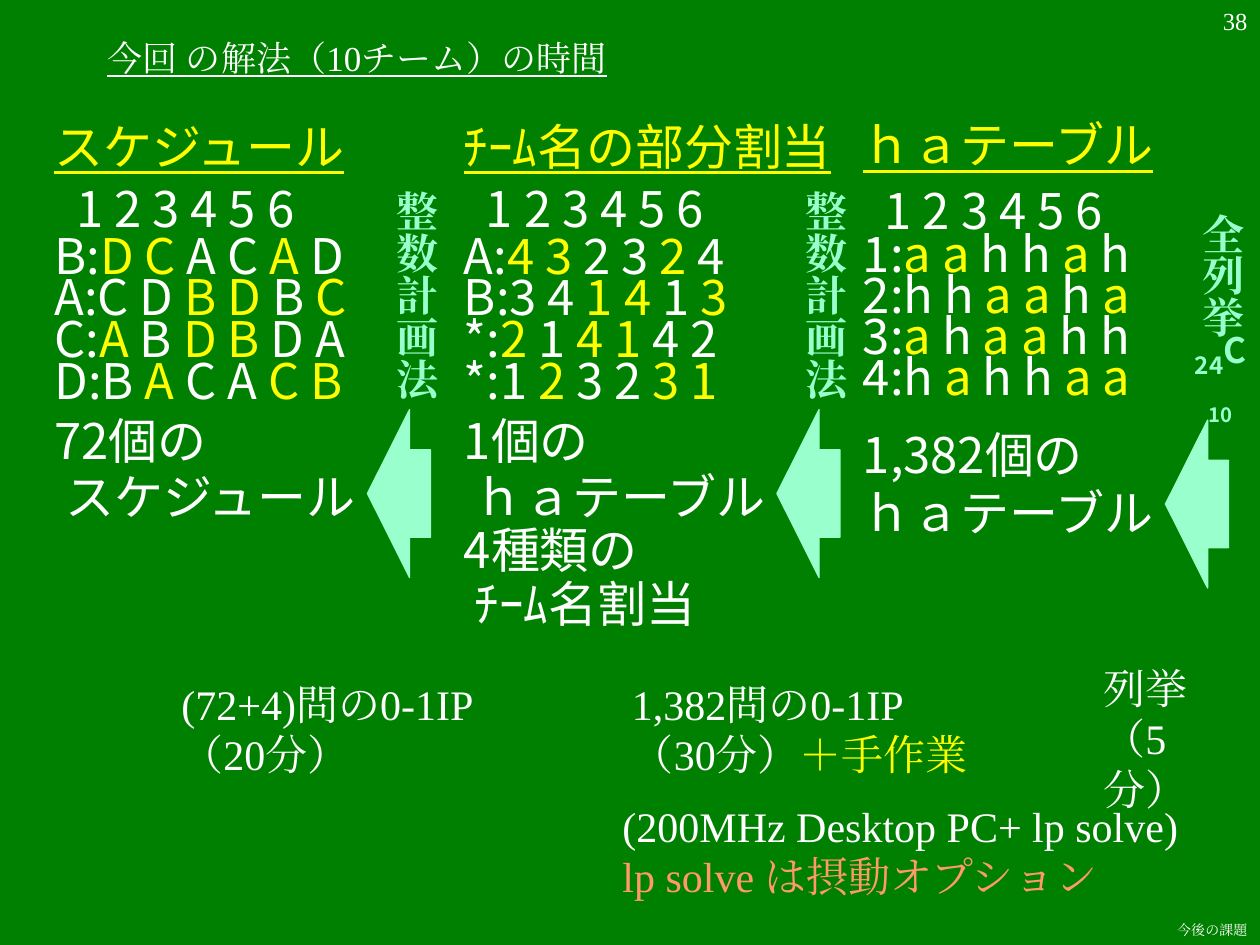
from dataclasses import dataclass
from typing import Optional

from lxml.etree import SubElement
from pptx import Presentation
from pptx.dml.color import RGBColor
from pptx.enum.shapes import MSO_SHAPE
from pptx.enum.text import MSO_ANCHOR, MSO_AUTO_SIZE, PP_ALIGN
from pptx.oxml.ns import qn
from pptx.util import Inches, Pt

GREEN = RGBColor(0x00, 0x80, 0x00)
WHITE = RGBColor(0xFF, 0xFF, 0xFF)
YELLOW = RGBColor(0xFF, 0xFF, 0x00)
MINT = RGBColor(0x99, 0xFF, 0xCC)
ORANGE = RGBColor(0xFF, 0x99, 0x66)
SERIF, SANS = "Times New Roman", "Noto Sans CJK JP"

# Grid of 120 columns by 90 rows over the slide
UNIT = Inches(10) / 120
Box = tuple[float, float, float, float]


@dataclass
class Line:
    """A paragraph; the text between a pair of bars is yellow."""
    text: str
    color: RGBColor = WHITE
    spacing: Optional[float] = None
    underline: bool = False


@dataclass
class Style:
    size: float = 24
    font: str = SERIF
    bold: bool = False
    align: Optional[PP_ALIGN] = None
    anchor: MSO_ANCHOR = MSO_ANCHOR.MIDDLE
    wrap: bool = False
    vertical: bool = False
    before: float = 0


def grid(box: Box) -> list[int]:
    return [round(v * UNIT) for v in box]


def add_run(p, text: str, color: RGBColor, font: str):
    r = p.add_run()
    r.text = text
    r.font.color.rgb = color
    SubElement(r.font._element, qn("a:ea")).set("typeface", font)
    return r


def fill_text(tf, lines: list[Line], st: Style) -> None:
    tf.auto_size = MSO_AUTO_SIZE.NONE
    tf.word_wrap, tf.vertical_anchor = st.wrap, st.anchor
    side, end = Inches(0.1), Inches(0.05)
    if st.vertical:
        side, end = end, side
        tf._txBody.bodyPr.set("vert", "eaVert")
    tf.margin_left = tf.margin_right = side
    tf.margin_top = tf.margin_bottom = end
    for i, line in enumerate(lines):
        p = tf.add_paragraph() if i else tf.paragraphs[0]
        p.line_spacing = line.spacing
        p.space_before = Pt(st.before if i else 0)
        p.alignment = st.align
        p.font.size, p.font.name = Pt(st.size), st.font
        p.font.bold, p.font.underline = st.bold, line.underline
        for j, part in enumerate(line.text.split("|")):
            if part:
                add_run(p, part, YELLOW if j % 2 else line.color, st.font)


def add_text(s, box: Box, lines: list[Line], st: Style):
    tf = s.shapes.add_textbox(*grid(box)).text_frame
    fill_text(tf, lines, st)
    return tf


def add_column(s, box: Box, heading: str, rows: list[str], notes: list[Line],
               spacings: tuple[float, float, float], before: float) -> None:
    """Heading, round numbers, team rows, then closing notes."""
    head, rounds, row = spacings
    lines = [Line(heading, YELLOW, head, True),
             Line("  1 2 3 4 5 6", spacing=rounds)]
    lines += [Line(text, spacing=row) for text in rows] + notes
    add_text(s, box, lines, Style(28, SANS, anchor=MSO_ANCHOR.TOP,
                                  wrap=True, before=before))


def add_arrow(s, col: float, row: float) -> None:
    sp = s.shapes.add_shape(MSO_SHAPE.LEFT_ARROW, *grid((col, row, 6, 16)))
    sp.shadow.inherit = False
    sp.adjustments[0], sp.adjustments[1] = 0.52, 0.67
    sp.fill.solid()
    sp.fill.fore_color.rgb = sp.line.color.rgb = MINT
    sp.line.width = Pt(0.75)


def main() -> None:
    prs = Presentation()
    prs.slide_width, prs.slide_height = Inches(10), Inches(7.5)
    s = prs.slides.add_slide(prs.slide_layouts[5])
    s.background.fill.solid()
    s.background.fill.fore_color.rgb = GREEN

    # Title
    title = s.shapes.title
    title.left, title.top, title.width, title.height = grid((9, 4, 77, 3))
    fill_text(title.text_frame, [Line("今回 の解法（10チーム）の時間", underline=True)],
              Style(20, align=PP_ALIGN.LEFT, wrap=True))

    # Three stages, from the result back to the enumeration
    add_column(s, (4, 12, 40, 42), "スケジュール",
               ["B:|D C| A C |A |D", "A:C D |B D| B |C",
                "C:|A| B |D B| D A", "D:B |A| C A |C B"],
               [Line("72個の", spacing=0.9), Line(" スケジュール", spacing=0.7)],
               (0.7, 0.9, 0.5), 7)
    add_column(s, (43, 12, 38, 49), "ﾁｰﾑ名の部分割当",
               ["A:|4 3| 2 3 |2| 4", "B:3 4 |1 4| 1 |3",
                "*:|2| 1 |4 1| 4 2", "*:1 |2| 3 2 |3 1"],
               [Line("1個の", spacing=0.9), Line(" ｈａテーブル", spacing=0.7),
                Line("4種類の", spacing=0.7), Line(" ﾁｰﾑ名割当", spacing=0.7)],
               (0.7, 0.9, 0.5), 7)
    add_column(s, (81, 11, 39, 37.2), "ｈａテーブル",
               ["1:|a a| h h |a| h", "2:h h |a a| h |a",
                "3:|a| h |a a| h h", "4:h |a |h h |a a"],
               [], (0.9, 1.1, 0.7), 0)
    add_text(s, (81, 39.8, 36, 14.6), [Line("1,382個の"), Line("ｈａテーブル")],
             Style(28, SANS, anchor=MSO_ANCHOR.TOP, wrap=True))

    # Arrows and the method used at each step
    for col, row in [(74, 39), (35, 39), (111, 40)]:
        add_arrow(s, col, row)
    method = Style(bold=True, vertical=True, align=PP_ALIGN.CENTER)
    for box, text in [((75, 17, 7.2, 21.2), "整数計画法"),
                      ((36, 17, 7.2, 21.2), "整数計画法"),
                      ((112.8, 19.1, 7.2, 13.2), "全列挙")]:
        add_text(s, box, [Line(text, MINT)], method)

    # Number of combinations
    tf = add_text(s, (112.1, 32.3, 8.3, 6.7), [Line("", MINT)],
                  Style(20, SANS, True, PP_ALIGN.CENTER, wrap=True))
    for text, size, base in [("24", 24, -25000), ("C", 20, 0), ("10", 20, -25000)]:
        r = add_run(tf.paragraphs[0], text, MINT, SANS)
        r.font.size = Pt(size)
        r.font._element.set("baseline", str(base))

    # Computing times
    add_text(s, (103.9, 62.5, 16.1, 15.6), [Line("列挙"), Line("（5分）")],
             Style(wrap=True))
    add_text(s, (59, 64, 36.2, 10.8),
             [Line("1,382問の0-1IP"), Line("（30分）|＋手作業|")], Style())
    add_text(s, (58.1, 75.6, 57.2, 10.8),
             [Line("(200MHz Desktop PC+ lp solve)"),
              Line("lp solve は摂動オプション", ORANGE)], Style())
    add_text(s, (16.1, 64, 32, 10.8),
             [Line("(72+4)問の0-1IP"), Line("（20分）")], Style())

    # Page number and footer
    add_text(s, (95, 0, 25, 6), [Line("38")],
             Style(14, align=PP_ALIGN.RIGHT, anchor=MSO_ANCHOR.TOP, wrap=True))
    add_text(s, (110.9, 87.1, 9.1, 2.9), [Line("今後の課題")],
             Style(8, align=PP_ALIGN.RIGHT))

    prs.save("out.pptx")


if __name__ == "__main__":
    main()
